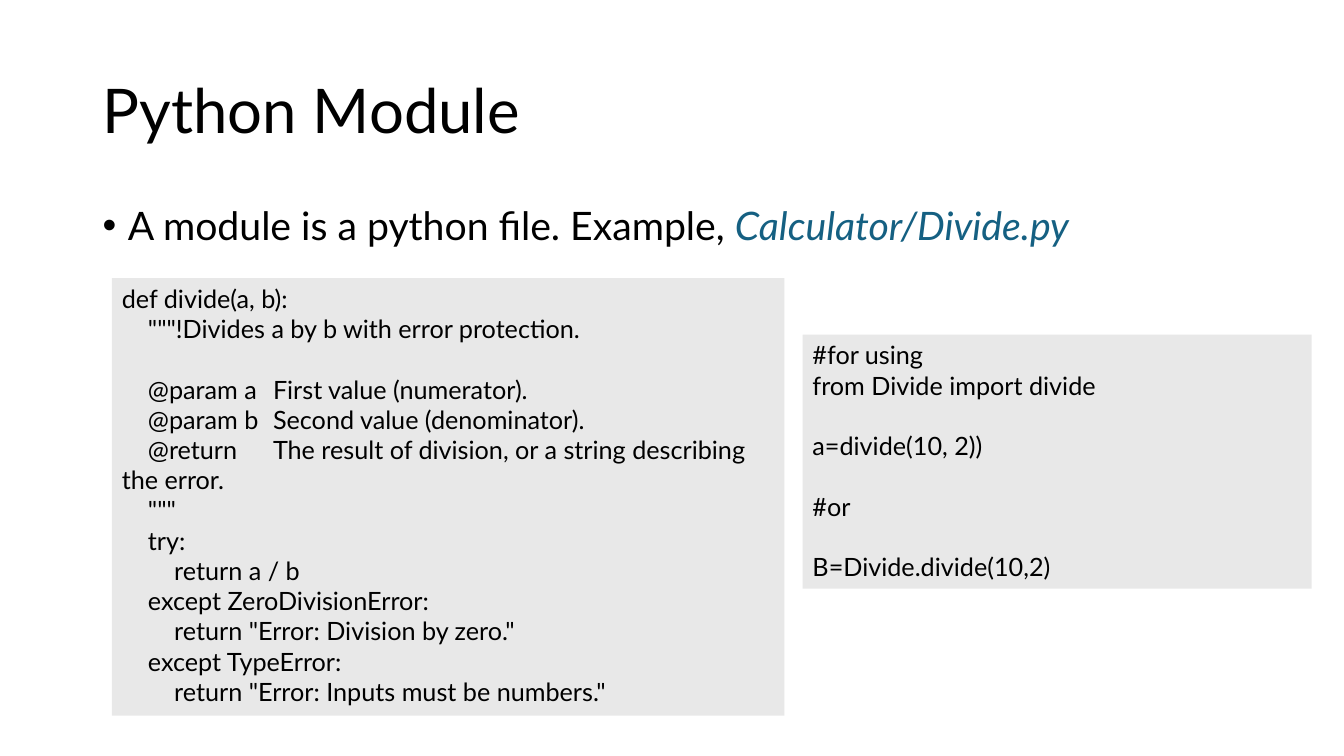
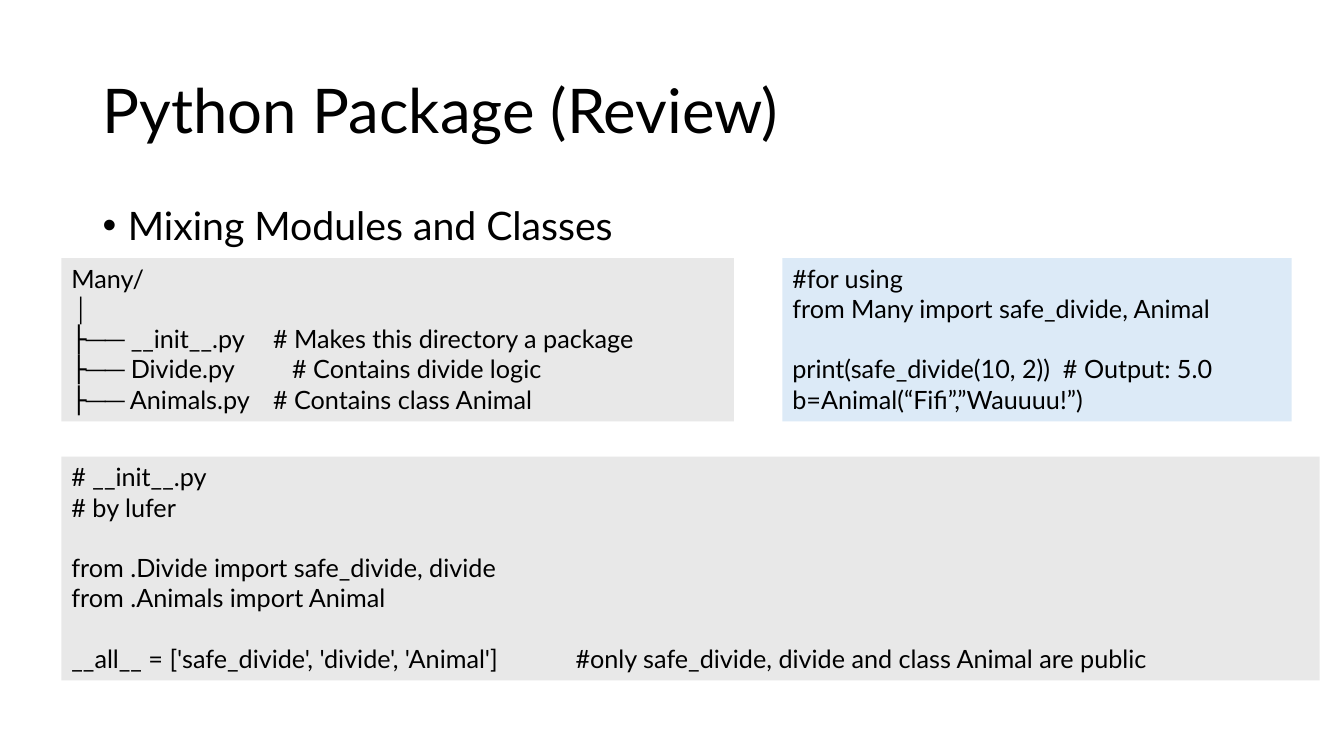
from lxml.etree import SubElement
from pptx import Presentation
from pptx.dml.color import RGBColor
from pptx.enum.shapes import MSO_SHAPE
from pptx.enum.text import MSO_ANCHOR as Anchor, PP_ALIGN as Align
from pptx.oxml.ns import qn
from pptx.util import Inches, Pt

FONT = "Lato"
BLACK = RGBColor(0x00, 0x00, 0x00)
TEAL = RGBColor(0x15, 0x60, 0x82)
GREY = RGBColor(0xE8, 0xE8, 0xE8)
PALE_BLUE = RGBColor(0xDC, 0xEA, 0xF7)

TITLE_AREA = (0.92, 0.4, 11.5, 1.45)
BODY_AREA = (0.92, 2, 11.5, 4.76)
TITLE_FONT = {"name": FONT, "size": Pt(44)}
BODY_FONT = {"name": FONT, "size": Pt(28)}
CODE_FONT = {"name": FONT, "size": Pt(18)}
CODE_INDENT = 0.26  # inches per level of four spaces
CODE_GAP = Pt(21.6)  # height of one empty line of code

# Content: a code line is a string, or (string, tab stop in inches);
# an empty string is a gap above the next line
SLIDES = [
    {
        "title": "Python Module",
        "bullet": [
            ("A module is a python file. Example, ", BLACK, False),
            ("Calculator/Divide.py", TEAL, True),
        ],
        "code": [
            ((1.11, 2.76, 6.67, 4.34), GREY, [
                "def divide(a, b):",
                '    """!Divides a by b with error protection.',
                "",
                ("    @param a\tFirst value (numerator).", 1.53),
                ("    @param b\tSecond value (denominator).", 1.54),
                ("    @return\tThe result of division, or a string describing the error.", 1.38),
                '    """',
                "    try:",
                "        return a / b",
                "    except ZeroDivisionError:",
                '        return "Error: Division by zero."',
                "    except TypeError:",
                '        return "Error: Inputs must be numbers."',
            ]),
            ((7.96, 3.32, 5.05, 2.52), GREY, [
                "#for using",
                "from Divide import divide",
                "",
                "a=divide(10, 2))",
                "",
                "#or",
                "",
                "B=Divide.divide(10,2)",
            ]),
        ],
    },
    {
        "title": "Python Package (Review)",
        "bullet": [("Mixing Modules and Classes", BLACK, False)],
        "code": [
            ((0.61, 2.56, 6.67, 1.62), GREY, [
                "Many/",
                "│",
                ("├── __init__.py\t# Makes this directory a package", 2),
                ("├── Divide.py\t# Contains divide logic", 2.19),
                ("├── Animals.py\t# Contains class Animal", 2),
            ]),
            ((0.61, 4.53, 12.48, 2.22), GREY, [
                "# __init__.py",
                "# by lufer",
                "",
                "from .Divide import safe_divide, divide",
                "from .Animals import Animal",
                "",
                ("__all__ = ['safe_divide', 'divide', 'Animal']"
                 "\t#only safe_divide, divide and class Animal are public", 5),
            ]),
            ((7.76, 2.56, 5.05, 1.62), PALE_BLUE, [
                "#for using",
                "from Many import safe_divide, Animal",
                "",
                "print(safe_divide(10, 2))  # Output: 5.0",
                "b=Animal(“Fifi”,”Wauuuu!”)",
            ]),
        ],
    },
]


def add_run(paragraph, text, font_format, color=BLACK, italic=False):
    run = paragraph.add_run()
    run.text = text
    for name, value in {**font_format, "italic": italic}.items():
        setattr(run.font, name, value)
    run.font.color.rgb = color


def add_text_area(slide, area, anchor):
    """Add a wrapping text box and return its first paragraph."""
    frame = slide.shapes.add_textbox(*map(Inches, area)).text_frame
    frame.word_wrap = True
    frame.vertical_anchor = anchor
    paragraph = frame.paragraphs[0]
    paragraph.line_spacing = 0.9
    return paragraph


def add_bullet(paragraph):
    properties = paragraph._p.get_or_add_pPr()
    properties.set("marL", str(Inches(0.25)))
    properties.set("indent", str(-Inches(0.25)))
    SubElement(properties, qn("a:buFont"), typeface="Arial")
    SubElement(properties, qn("a:buChar"), char="•")


def add_tab_stop(paragraph, position):
    tabs = SubElement(paragraph._p.get_or_add_pPr(), qn("a:tabLst"))
    SubElement(tabs, qn("a:tab"), pos=str(Inches(position)), algn="l")


def add_code_box(slide, area, color, lines):
    box = slide.shapes.add_shape(MSO_SHAPE.RECTANGLE, *map(Inches, area))
    box.shadow.inherit = False
    box.fill.solid()
    box.fill.fore_color.rgb = color
    box.line.fill.background()
    frame = box.text_frame
    frame.word_wrap = True
    frame.vertical_anchor = Anchor.TOP

    paragraph, gap = frame.paragraphs[0], False
    for number, line in enumerate(lines):
        if not line:
            gap = True
            continue
        text, tab_stop = (line, None) if isinstance(line, str) else line
        code = text.lstrip(" ")
        level = (len(text) - len(code)) // 4
        if number:
            paragraph = frame.add_paragraph()
        paragraph.alignment = Align.LEFT
        if gap:
            paragraph.space_before = CODE_GAP
        if level:
            # Only the first line moves in; wrapped text returns to the edge
            properties = paragraph._p.get_or_add_pPr()
            properties.set("marL", "0")
            properties.set("indent", str(Inches(CODE_INDENT * level)))
        if tab_stop:
            add_tab_stop(paragraph, tab_stop)
        add_run(paragraph, code, CODE_FONT)
        gap = False


def main():
    presentation = Presentation()
    presentation.slide_width = Inches(13.33)
    presentation.slide_height = Inches(7.5)
    for content in SLIDES:
        slide = presentation.slides.add_slide(presentation.slide_layouts[6])
        # Title
        title = add_text_area(slide, TITLE_AREA, Anchor.MIDDLE)
        add_run(title, content["title"], TITLE_FONT)
        # Bullet
        bullet = add_text_area(slide, BODY_AREA, Anchor.TOP)
        add_bullet(bullet)
        for text, color, italic in content["bullet"]:
            add_run(bullet, text, BODY_FONT, color, italic)
        # Code boxes
        for area, color, lines in content["code"]:
            add_code_box(slide, area, color, lines)
    presentation.save("out.pptx")


if __name__ == "__main__":
    main()
